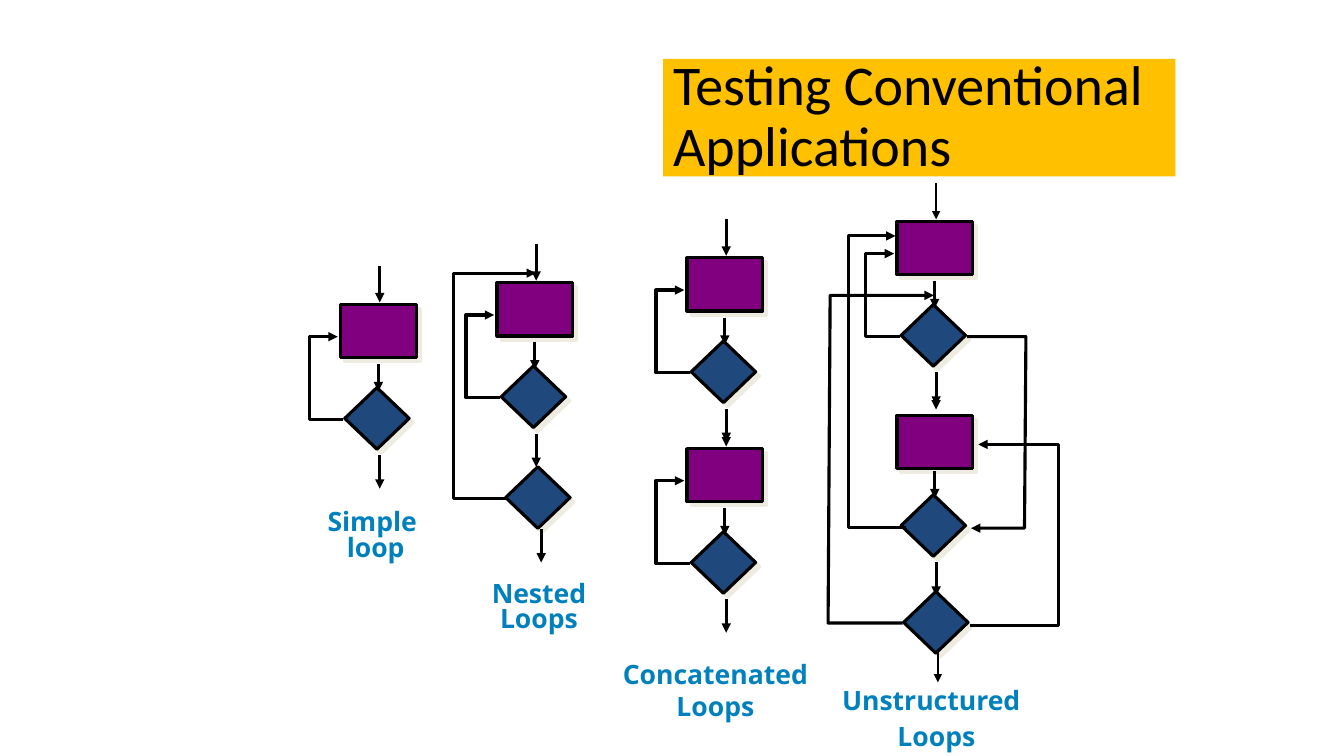
import pptx
import pptx.dml.color
import pptx.enum.shapes
import pptx.enum.text
import pptx.oxml
import pptx.oxml.ns
import pptx.util
from lxml import etree

Pt = pptx.util.Pt
SHAPES = pptx.enum.shapes.MSO_SHAPE
ALIGN = pptx.enum.text.PP_ALIGN
COLOURS = {
    "title_band": "FFC000",
    "ink": "000000",
    "process": "800080",
    "decision": "1F497D",
    "shadow": "EEECE1",
    "label": "0081BD",
}
THICK, THIN = 2.25, 1


def rgb(name):
    return pptx.dml.color.RGBColor.from_string(COLOURS[name])


class FlowSlide:
    def __init__(self, slide):
        self.shapes = slide.shapes

    def set_lines(self, frame, lines, font, size, colour, bold, align, spacing):
        frame.text = "\n".join(lines)
        for paragraph in frame.paragraphs:
            paragraph.alignment = align
            paragraph.line_spacing = spacing
            for run in paragraph.runs:
                run.font.name = font
                run.font.size = Pt(size)
                run.font.bold = bold
                run.font.color.rgb = rgb(colour)

    def title(self, text, left, top, width, height):
        band = self.shapes.add_textbox(Pt(left), Pt(top), Pt(width), Pt(height))
        band.fill.solid()
        band.fill.fore_color.rgb = rgb("title_band")
        frame = band.text_frame
        frame.word_wrap = True
        frame.vertical_anchor = pptx.enum.text.MSO_ANCHOR.MIDDLE
        self.set_lines(frame, [text], "Calibri", 40, "ink", False, ALIGN.LEFT, 0.9)

    def label(self, lines, left, top, width, height, align=ALIGN.CENTER, spacing=1.0):
        caption = self.shapes.add_textbox(Pt(left), Pt(top), Pt(width), Pt(height))
        caption.text_frame.word_wrap = False
        self.set_lines(caption.text_frame, lines, "Open Sans", 19, "label", True, align, spacing)

    def node(self, kind, colour, left, top, width, height):
        """Add an outlined flowchart symbol with a hard offset shadow."""
        symbol = self.shapes.add_shape(kind, Pt(left), Pt(top), Pt(width), Pt(height))
        symbol.fill.solid()
        symbol.fill.fore_color.rgb = rgb(colour)
        symbol.line.color.rgb = rgb("ink")
        symbol.line.width = Pt(THICK)
        symbol.shadow.inherit = False
        effects = symbol._element.spPr.find(pptx.oxml.ns.qn("a:effectLst"))
        effects.append(pptx.oxml.parse_xml(
            f'<a:outerShdw {pptx.oxml.ns.nsdecls("a")} dist="{Pt(4.2)}" dir="2700000" '
            f'algn="ctr" rotWithShape="0"><a:srgbClr val="{COLOURS["shadow"]}"/></a:outerShdw>'))

    def process(self, left, top):
        self.node(SHAPES.RECTANGLE, "process", left, top, 54, 38)

    def decision(self, left, top):
        self.node(SHAPES.DIAMOND, "decision", left, top, 46, 44)

    def arrow_line(self, line, weight):
        line.color.rgb = rgb("ink")
        line.width = Pt(weight)
        etree.SubElement(line._get_or_add_ln(), pptx.oxml.ns.qn("a:tailEnd"), type="triangle")

    def down_arrow(self, x, top, bottom, weight=THICK):
        arrow = self.shapes.add_connector(
            pptx.enum.shapes.MSO_CONNECTOR.STRAIGHT, Pt(x), Pt(top), Pt(x), Pt(bottom))
        self.arrow_line(arrow.line, weight)
        etree.SubElement(arrow._element.spPr, pptx.oxml.ns.qn("a:effectLst"))

    def route(self, *points):
        """Add a bent arrow through the points."""
        start, *rest = [(Pt(x), Pt(y)) for x, y in points]
        builder = self.shapes.build_freeform(*start)
        builder.add_line_segments(rest, close=False)
        bent_arrow = builder.convert_to_shape()
        bent_arrow.fill.background()
        bent_arrow.shadow.inherit = False
        self.arrow_line(bent_arrow.line, THICK)

    def loop(self, x, y, entry_weight=THICK, process_drop=0, returns=True):
        """Add a process and its decision, with entry, exit and return arrows."""
        self.process(x, y + process_drop)
        self.decision(x + 3, y + 59.4)
        self.down_arrow(x + 28, y - 27.5, y - 1.5, entry_weight)
        self.down_arrow(x + 27, y + 42.6, y + 62)
        if returns:
            self.route((x + 2, y + 82.2), (x - 22.2, y + 82.2),
                       (x - 22.2, y + 23), (x - 2, y + 23))
        self.down_arrow(x + 28, y + 107.8, y + 131.6)


def main():
    deck = pptx.Presentation()
    deck.slide_width, deck.slide_height = Pt(960.5), Pt(540)
    flow = FlowSlide(deck.slides.add_slide(deck.slide_layouts[6]))

    flow.title("Testing Conventional Applications", 474, 42, 366, 84)

    # Simple loop
    flow.loop(243.4, 217.5)
    flow.label(["Simple ", "loop"], 227, 361.5, 83, 43, spacing=0.8)

    # Nested loops
    flow.loop(355.2, 202)
    flow.decision(361.4, 333.4)
    flow.down_arrow(386.8, 378, 401.8)
    flow.route((361.4, 356.4), (324, 356.4), (324, 195.1), (383, 195.1))
    flow.label(["Nested ", "Loops"], 342, 412.6, 86.4, 43, spacing=0.8)

    # Concatenated loops
    for top in (184.2, 320.4):
        flow.loop(491, top)
    flow.label(["Concatenated", "Loops"], 437.8, 466.6, 146.9, 52.6)

    # Unstructured loops
    flow.loop(641, 158.2, entry_weight=THIN)
    flow.loop(641, 294, process_drop=2.6, returns=False)
    flow.decision(645.8, 422.6)
    flow.down_arrow(670.3, 463.7, 487.4, THIN)
    flow.route((647.3, 376.6), (606.2, 376.6), (606.2, 168.5), (640, 168.5))
    flow.route((691.2, 240.5), (733.2, 240.5), (732.2, 377.3), (694, 377.3))
    flow.route((693.4, 447.1), (756.3, 447.1), (756.3, 317.5), (699.1, 317.5))
    flow.route((645.1, 445), (591.8, 445), (593.3, 211), (667.4, 211))
    flow.label(["Unstructured"], 594.7, 485.3, 176.4, 29.5, ALIGN.LEFT)
    flow.label(["Loops"], 634.3, 510.5, 69.8, 29.5, ALIGN.LEFT)

    deck.save("out.pptx")


if __name__ == "__main__":
    main()
